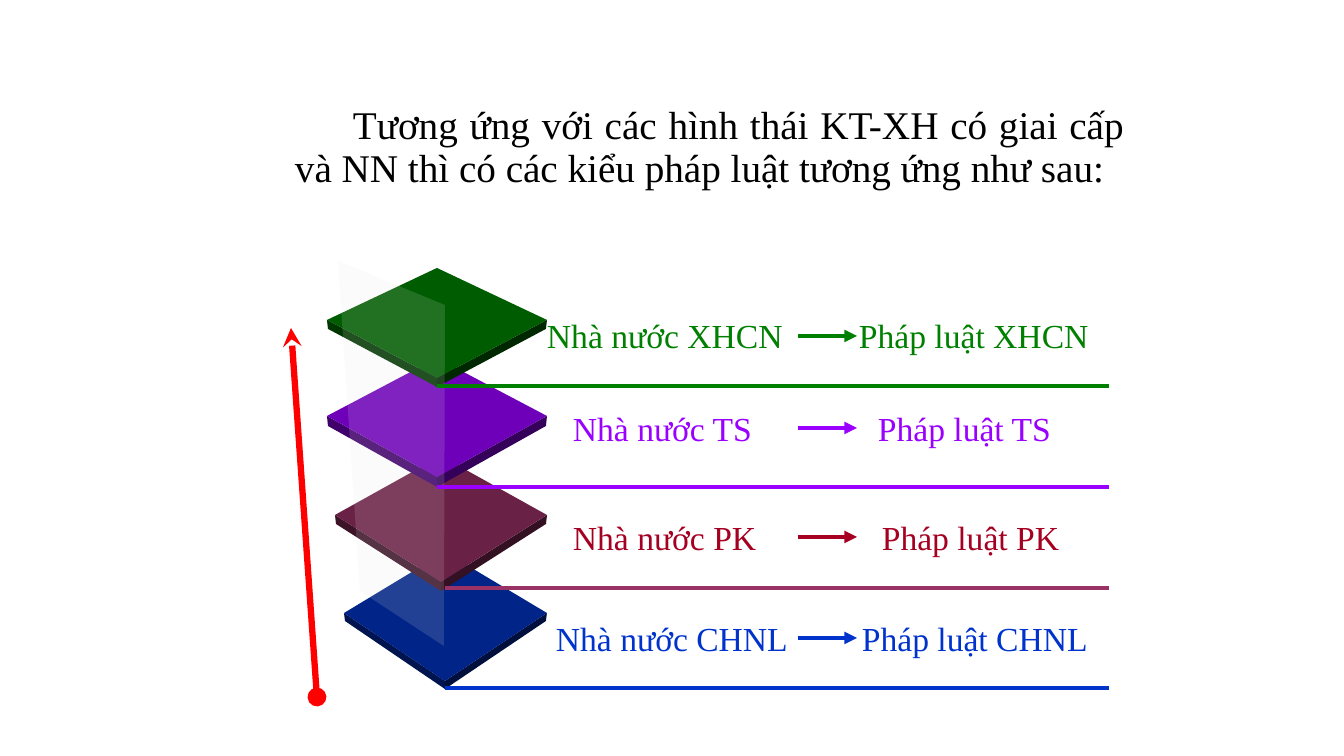
from dataclasses import dataclass

from lxml.etree import SubElement
from pptx import Presentation
from pptx.dml.color import RGBColor
from pptx.enum.shapes import MSO_CONNECTOR
from pptx.enum.text import PP_ALIGN
from pptx.oxml.ns import qn
from pptx.util import Emu, Pt

PX = 12192000 / 1344  # EMU in one px


def px(length):
    return Emu(round(length * PX))


@dataclass(frozen=True)
class Theme:
    font: str = "Times New Roman"
    title_size: int = 28
    label_size: int = 24
    rule_width: float = 3
    progress_width: float = 4.5
    ink: str = "000000"
    progress: str = "FF0000"
    glass: str = "EAEAEA"
    glass_alpha: int = 15
    green: str = "008000"
    purple: str = "9900FF"
    plum: str = "993366"
    crimson: str = "A50021"
    blue: str = "0033CC"
    # Slab faces: top, left side, right side
    green_slab: tuple = ("005C00", "003600", "002800")
    purple_slab: tuple = ("6D00B8", "40006B", "35005A")
    plum_slab: tuple = ("6A2146", "3D1328", "331022")
    blue_slab: tuple = ("002487", "00154F", "000F3B")


class StateLawSlide:
    def __init__(self, slide, theme):
        self.shapes = slide.shapes
        self.theme = theme

    def polygon(self, points, color, alpha=None):
        builder = self.shapes.build_freeform(*points[0], scale=PX)
        builder.add_line_segments(points[1:], close=True)
        face = builder.convert_to_shape()
        face.shadow.inherit = False
        face.fill.solid()
        face.fill.fore_color.rgb = RGBColor.from_string(color)
        face.line.fill.background()
        if alpha is not None:
            tint = face.fill._xPr.find(qn("a:solidFill"))[0]
            SubElement(tint, qn("a:alpha"), val=str(alpha * 1000))

    def slab(self, left, right, top, middle, bottom, thickness, colors):
        center = (left + right) // 2
        west, east = (left, middle), (right, middle)
        front, base = (center, bottom), (center, bottom + thickness)
        top_color, left_color, right_color = colors
        self.polygon([west, front, base, (left + 1, middle + thickness)], left_color)
        self.polygon([east, front, base, (right - 1, middle + thickness)], right_color)
        self.polygon([(center, top), east, front, west], top_color)

    def line(self, start, end, color, width, head=None, tail=None):
        ends = [px(value) for value in (*start, *end)]
        stroke = self.shapes.add_connector(MSO_CONNECTOR.STRAIGHT, *ends)
        stroke.line.color.rgb = RGBColor.from_string(color)
        stroke.line.width = Pt(width)
        outline = stroke.line._get_or_add_ln()
        for tag, kind in (("a:headEnd", head), ("a:tailEnd", tail)):
            if kind:
                SubElement(outline, qn(tag), type=kind)
        SubElement(stroke._element.spPr, qn("a:effectLst"))

    def text(self, left, top, width, height, words, size, color):
        box = self.shapes.add_textbox(px(left), px(top), px(width), px(height))
        box.text_frame.word_wrap = True
        paragraph = box.text_frame.paragraphs[0]
        run = paragraph.add_run()
        run.text = words
        run.font.name = self.theme.font
        run.font.size = Pt(size)
        run.font.color.rgb = RGBColor.from_string(color)
        return paragraph

    def title(self, left, top, width, height, words, indent):
        paragraph = self.text(left, top, width, height, words,
                              self.theme.title_size, self.theme.ink)
        paragraph.alignment = PP_ALIGN.JUSTIFY
        paragraph.line_spacing = 0.9
        paragraph._p.get_or_add_pPr().set("indent", str(px(indent)))

    def label(self, left, top, state, law, law_offset, color):
        paragraph = self.text(left, top, 1109 - left, 50, f"{state}\t{law}",
                              self.theme.label_size, color)
        tabs = SubElement(paragraph._p.get_or_add_pPr(), qn("a:tabLst"))
        SubElement(tabs, qn("a:tab"), pos=str(px(law_offset)), algn="l")


def main():
    deck = Presentation()
    deck.slide_width, deck.slide_height = px(1344), px(756)
    theme = Theme()
    page = StateLawSlide(deck.slides.add_slide(deck.slide_layouts[6]), theme)

    # Stack of slabs, lowest first
    page.slab(344, 547, 552, 613, 681, 8, theme.blue_slab)
    page.slab(335, 547, 456, 515, 582, 9, theme.plum_slab)
    page.slab(327, 547, 358, 416, 477, 10, theme.purple_slab)
    page.slab(327, 547, 268, 320, 378, 9, theme.green_slab)

    # Glass pane and upward progress arrow
    page.polygon([(338, 261), (360, 591), (444, 646), (445, 305)],
                 theme.glass, theme.glass_alpha)
    page.line((317, 697), (291, 328), theme.progress, theme.progress_width,
              head="oval", tail="stealth")

    # Each state type leads to its type of law
    levels = [
        ("XHCN", 537, 310, 312, 336, theme.green, theme.green, 437),
        ("TS", 563, 403, 305, 428, theme.purple, theme.purple, 437),
        ("PK", 563, 512, 309, 537, theme.crimson, theme.plum, 445),
        ("CHNL", 546, 613, 306, 638, theme.blue, theme.blue, 445),
    ]
    for row, level in enumerate(levels):
        name, left, top, law_offset, arrow_y, color, rule_color, rule_left = level
        rule_y = 386 + round(row * 100.8)
        page.label(left, top, f"Nhà nước {name}", f"Pháp luật {name}", law_offset, color)
        page.line((rule_left, rule_y), (1109, rule_y), rule_color, theme.rule_width)
        page.line((798, arrow_y), (857, arrow_y), color, theme.rule_width, tail="triangle")

    # Title
    page.title(285, 101, 849, 165,
               "Tương ứng với các hình thái KT-XH có giai cấp và NN thì có "
               "các kiểu pháp luật tương ứng như sau:", 58)

    deck.save("out.pptx")


if __name__ == "__main__":
    main()
